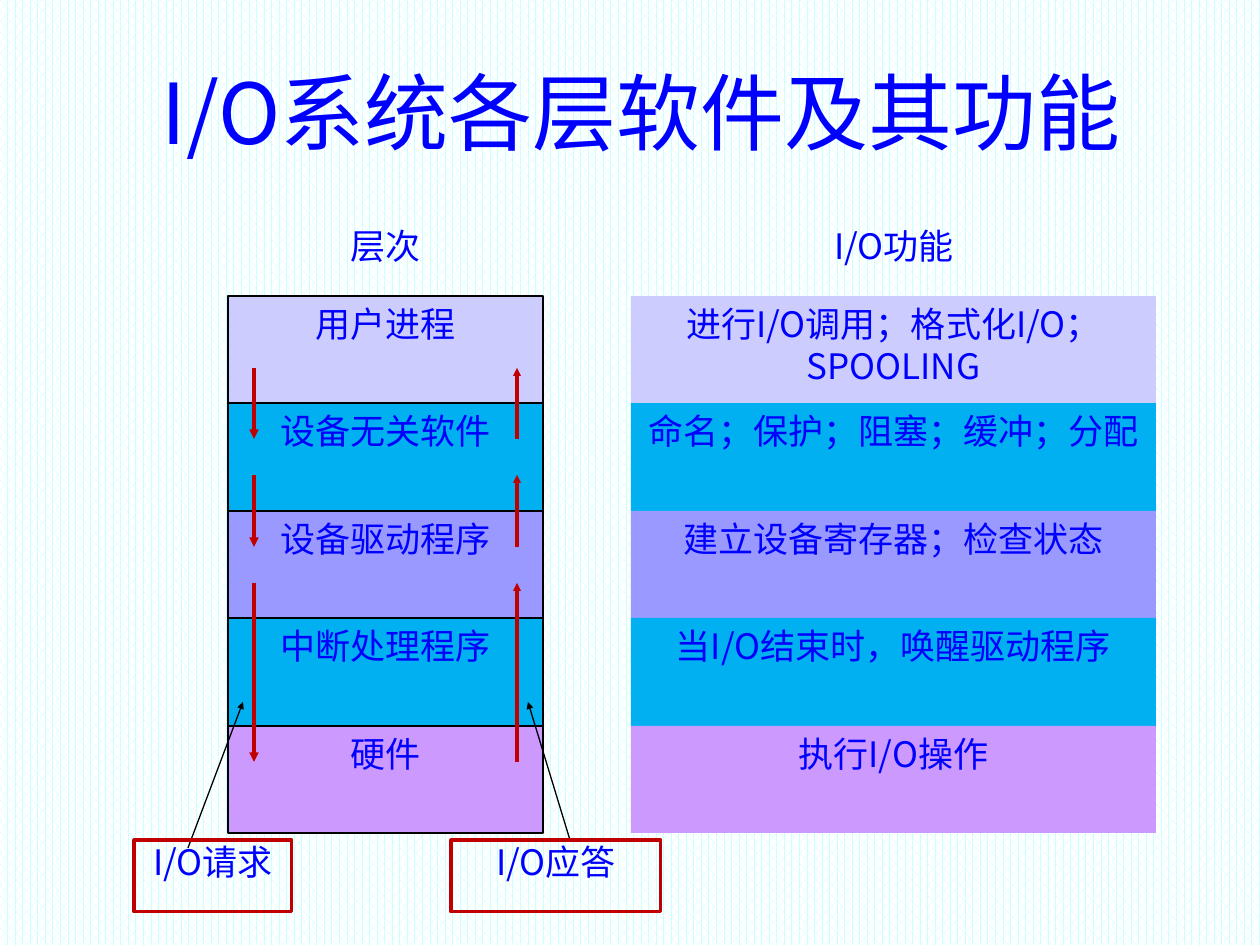
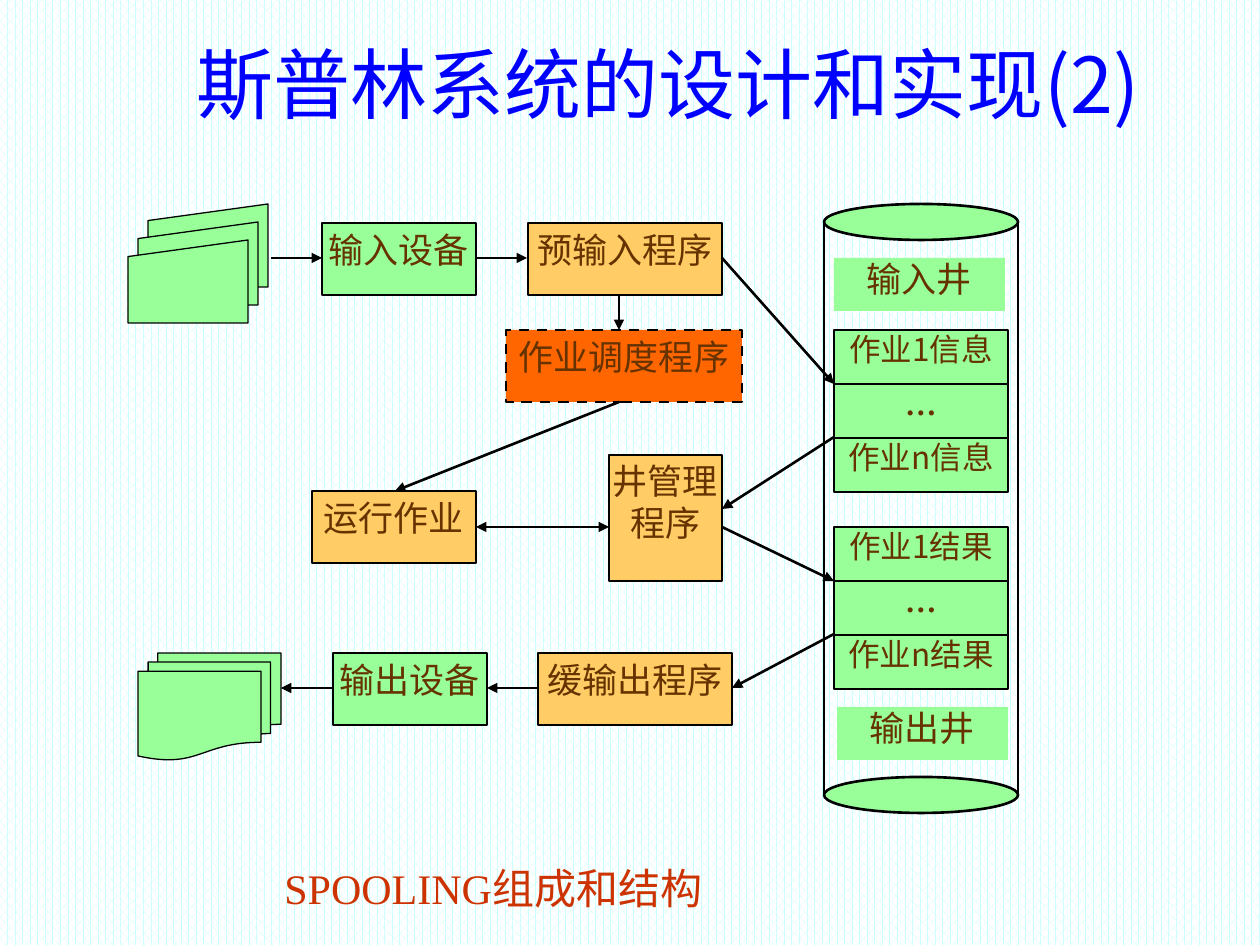
"""Build two slides on I/O software layers and the SPOOLING system."""
from dataclasses import dataclass

from lxml import etree
from pptx import Presentation
from pptx import util as u
from pptx.dml.color import RGBColor
from pptx.enum import dml, shapes, text
from pptx.oxml.ns import qn

EMU_PER_PX = 914400 / 126


@dataclass(frozen=True)
class Theme:
    """Colours, fonts and type sizes shared by the slides."""

    backdrop: str = "FFFFFF"
    backdrop_dots: str = "CCFFFF"
    blue: str = "0000FF"
    brown: str = "663300"
    rust: str = "CC3300"
    red: str = "C00000"
    black: str = "000000"
    lavender: str = "CCCCFF"
    sky: str = "00B0F0"
    periwinkle: str = "9999FF"
    purple: str = "CC99FF"
    green: str = "99FF99"
    amber: str = "FFCC66"
    orange: str = "FF6600"
    sans: str = "Noto Sans CJK JP"
    serif: str = "Times New Roman"
    caption_size: int = 24
    body_size: int = 20
    cell_size: int = 18


THEME = Theme()


def px(length):
    """Turn whole pixels into EMU."""
    return u.Emu(round(length * EMU_PER_PX))


def rgb(colour):
    """Turn a hex string into a colour."""
    return RGBColor.from_string(colour)


def write_text(shape, content, colour, size=THEME.body_size, font=THEME.sans, bold=False,
               align=text.PP_ALIGN.CENTER, anchor=text.MSO_ANCHOR.TOP, insets=None, wrap=True):
    """Fill a shape with text, one paragraph to a line."""
    frame = shape.text_frame
    frame.text = content
    frame.word_wrap = wrap
    frame.auto_size = text.MSO_AUTO_SIZE.NONE
    frame.vertical_anchor = anchor
    if insets:
        frame.margin_left, frame.margin_top, frame.margin_right, frame.margin_bottom = map(px, insets)
    for paragraph in frame.paragraphs:
        paragraph.alignment = align
        paragraph.font.name = font
        paragraph.font.size = u.Pt(size)
        paragraph.font.bold = bold
        paragraph.font.color.rgb = rgb(colour)
        properties = paragraph.font._element
        etree.SubElement(properties, qn("a:ea"), typeface=THEME.sans)


def add_title_slide(presentation, title, box, size):
    """Add a title-only slide and format its title."""
    slide = presentation.slides.add_slide(presentation.slide_layouts[5])
    placeholder = slide.shapes.title
    placeholder.left, placeholder.top, placeholder.width, placeholder.height = map(px, box)
    write_text(placeholder, title, THEME.blue, size, anchor=text.MSO_ANCHOR.MIDDLE)
    return slide


def add_block(slide, box, fill=None, line=None, width=0.75, kind=shapes.MSO_SHAPE.RECTANGLE):
    """Add a preset shape with an optional fill and outline."""
    shape = slide.shapes.add_shape(kind, *map(px, box))
    shape.shadow.inherit = False
    if fill:
        shape.fill.solid()
        shape.fill.fore_color.rgb = rgb(fill)
    else:
        shape.fill.background()
    if line:
        shape.line.color.rgb = rgb(line)
        shape.line.width = u.Pt(width)
    else:
        shape.line.fill.background()
    return shape


def add_line(slide, start, end, colour=THEME.black, width=1.5, ends=("tailEnd",), head="med"):
    """Add a straight connector with arrowheads at the named ends."""
    connector = slide.shapes.add_connector(shapes.MSO_CONNECTOR.STRAIGHT, *map(px, start + end))
    connector.line.color.rgb = rgb(colour)
    connector.line.width = u.Pt(width)
    outline = connector.line._get_or_add_ln()
    for name in ends:
        etree.SubElement(outline, qn(f"a:{name}"), type="triangle", w=head, len=head)
    etree.SubElement(connector._element.spPr, qn("a:effectLst"))


def add_label(slide, box, content):
    """Add a blue centred label without a frame."""
    shape = slide.shapes.add_textbox(*map(px, box))
    write_text(shape, content, THEME.blue, insets=(0, 0, 0, 0))


def add_step(slide, box, content, fill=THEME.amber):
    """Add one outlined box of the flow."""
    shape = add_block(slide, box, fill, THEME.black, 1.5)
    write_text(shape, content, THEME.brown, insets=(0, 5, 0, 0))
    return shape


def add_well(slide, top, noun):
    """Add a stack of three job cells."""
    for index, content in enumerate((f"作业1{noun}", "…", f"作业n{noun}")):
        cell = add_block(slide, (834, top + 54 * index, 174, 54), THEME.green, THEME.black, 1.5)
        dots = content == "…"
        write_text(cell, content, THEME.brown, THEME.cell_size,
                   THEME.serif if dots else THEME.sans, dots, insets=(0, 0, 0, 0))


def add_disk(slide):
    """Add the disk cylinder with its input and output wells."""
    for top in (204, 777):
        add_block(slide, (824, top, 194, 36), THEME.green, THEME.black, 1.5, shapes.MSO_SHAPE.OVAL)
    for x in (824, 1018):
        add_line(slide, (x, 223), (x, 795), ends=())
    for left, top, content in ((834, 258, "输入井"), (837, 707, "输出井")):
        label = add_block(slide, (left, top, 171, 53), THEME.green)
        write_text(label, content, THEME.brown, insets=(0, 0, 0, 0))
    add_well(slide, 330, "信息")
    add_well(slide, 527, "结果")


def row_top(index):
    """Return the top of a layer row."""
    return 296 + index * 215 // 2


def build_layers(presentation):
    """Build the slide on software layers and their functions."""
    slide = add_title_slide(presentation, "I/O系统各层软件及其功能 ", (115, 32, 1071, 157), 48)
    add_label(slide, (281, 224, 210, 72), "层次")
    add_label(slide, (789, 224, 210, 72), "I/O功能")
    layers = (
        ("用户进程", "进行I/O调用；格式化I/O；SPOOLING", THEME.lavender),
        ("设备无关软件", "命名；保护；阻塞；缓冲；分配", THEME.sky),
        ("设备驱动程序", "建立设备寄存器；检查状态", THEME.periwinkle),
        ("中断处理程序", "当I/O结束时，唤醒驱动程序", THEME.sky),
        ("硬件", "执行I/O操作", THEME.purple),
    )
    for index, (layer, function, fill) in enumerate(layers):
        top = row_top(index)
        height = row_top(index + 1) - top
        write_text(add_block(slide, (228, top, 315, height), fill, THEME.black), layer, THEME.blue)
        write_text(add_block(slide, (631, top, 525, height), fill), function, THEME.blue)
    for upper, lower in ((0, 1), (1, 2), (2, 4)):
        high, low = row_top(upper) + 72, row_top(lower) + 36
        add_line(slide, (254, high), (254, low), THEME.red, 2.75, head="sm")
        add_line(slide, (517, low), (517, high), THEME.red, 2.25, head="sm")
    callouts = (
        ("I/O请求", 134, 158, (188, 848), (243, 702)),
        ("I/O应答", 451, 210, (570, 840), (528, 702)),
    )
    for content, left, width, start, end in callouts:
        add_line(slide, start, end, width=0.75, head="sm")
        frame = add_block(slide, (left, 840, width, 72), line=THEME.red, width=1.75)
        write_text(frame, content, THEME.blue, insets=(0, 0, 0, 0))


def build_spooling(presentation):
    """Build the slide on the structure of SPOOLING."""
    slide = add_title_slide(presentation, "斯普林系统的设计和实现(2)", (113, 26, 1110, 113), 44)
    add_disk(slide)
    add_step(slide, (322, 223, 154, 72), "输入设备", THEME.green)
    add_step(slide, (528, 223, 194, 72), "预输入程序")
    scheduler = add_step(slide, (506, 330, 236, 72), "作业调度程序", THEME.orange)
    scheduler.line.dash_style = dml.MSO_LINE.DASH
    add_step(slide, (312, 491, 164, 72), "运行作业")
    add_step(slide, (609, 455, 113, 126), "井管理\n程序")
    add_step(slide, (538, 653, 194, 72), "缓输出程序")
    add_step(slide, (333, 653, 154, 72), "输出设备", THEME.green)
    for index in range(3):
        add_block(slide, (148 - 10 * index, 204 + 18 * index, 120, 83), THEME.green, THEME.black,
                  kind=shapes.MSO_SHAPE.FLOWCHART_MANUAL_INPUT)
    add_block(slide, (138, 653, 143, 107), THEME.green, THEME.black,
              kind=shapes.MSO_SHAPE.FLOWCHART_MULTIDOCUMENT)
    flows = (
        ((271, 258), (322, 258)), ((476, 258), (527, 258)),
        ((619, 294), (619, 330)), ((619, 402), (395, 491)),
        ((722, 258), (834, 384)), ((834, 437), (722, 509)),
        ((722, 527), (834, 581)), ((834, 634), (732, 688)),
        ((537, 688), (487, 688)), ((333, 688), (281, 688)),
    )
    for start, end in flows:
        add_line(slide, start, end)
    add_line(slide, (609, 527), (476, 527), ends=("headEnd", "tailEnd"))
    caption = slide.shapes.add_textbox(*map(px, (272, 856, 454, 63)))
    write_text(caption, "SPOOLING组成和结构", THEME.rust, THEME.caption_size, THEME.serif,
               align=text.PP_ALIGN.LEFT, wrap=False)


def main():
    """Build and save the presentation."""
    presentation = Presentation()
    presentation.slide_width, presentation.slide_height = px(1260), px(945)
    backdrop = presentation.slide_master.background.fill
    backdrop.patterned()
    backdrop.pattern = dml.MSO_PATTERN.PERCENT_60
    backdrop.fore_color.rgb = rgb(THEME.backdrop_dots)
    backdrop.back_color.rgb = rgb(THEME.backdrop)
    build_layers(presentation)
    build_spooling(presentation)
    presentation.save("out.pptx")


if __name__ == "__main__":
    main()
